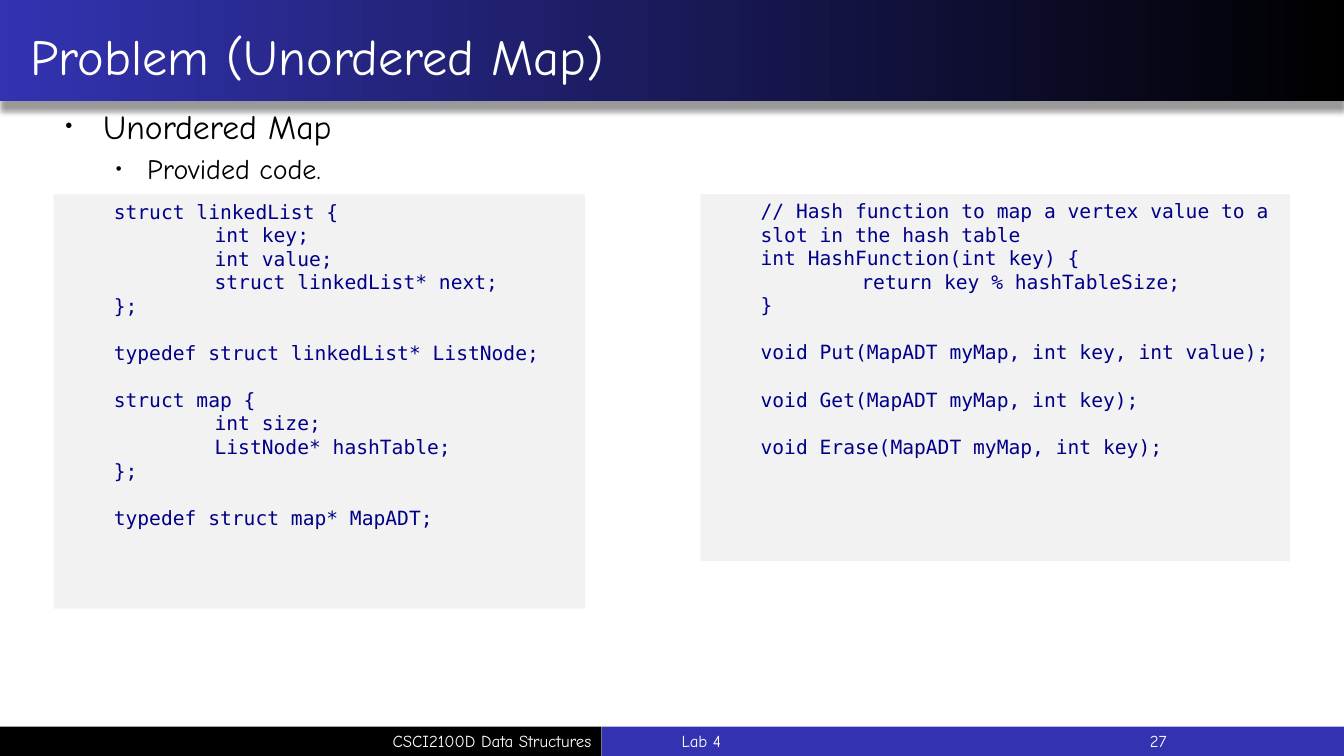
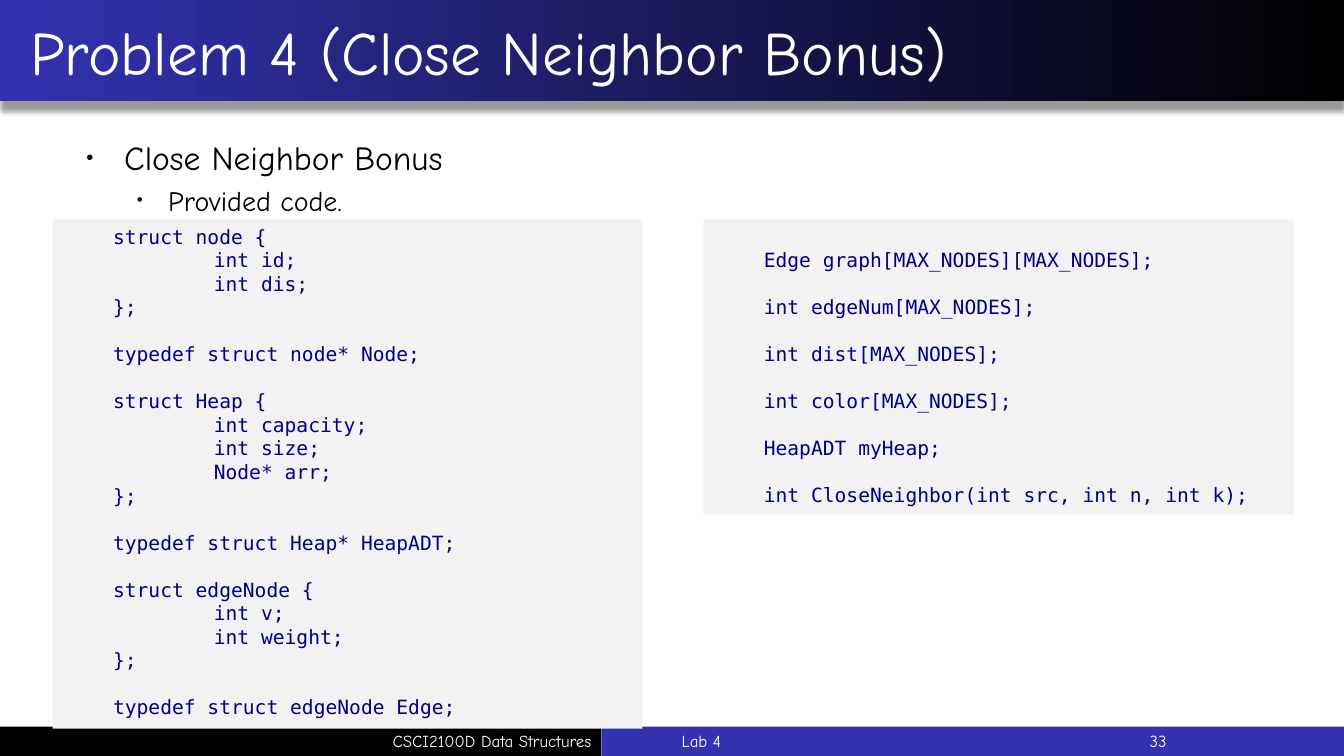
from lxml import etree
from pptx import Presentation
from pptx.dml.color import RGBColor
from pptx.enum.shapes import MSO_SHAPE
from pptx.enum.text import MSO_ANCHOR, PP_ALIGN
from pptx.oxml import parse_xml
from pptx.oxml.ns import qn
from pptx.util import Cm, Pt

RECT = MSO_SHAPE.RECTANGLE
TOP, MIDDLE = MSO_ANCHOR.TOP, MSO_ANCHOR.MIDDLE
LEFT, RIGHT = PP_ALIGN.LEFT, PP_ALIGN.RIGHT
rgb = RGBColor.from_string

BLUE, BLACK, WHITE = "3333B2", "000000", "FFFFFF"
PANEL, INK = "F2F2F2", "000088"
SANS, MONO = "Comic Neue", "DejaVu Sans Mono"
WIDTH, HEIGHT = 33.87, 19.05
HEAD = 2.54                      # height of the title band
FOOT, SPLIT = 18.31, 15.16       # top of the footer, where its colours meet
LINE = 16.8                      # one line of code, in points

SHADOW = """<a:effectLst xmlns:a="http://schemas.openxmlformats.org/drawingml/2006/main">
<a:outerShdw blurRad="50800" dist="88900" dir="5400000" algn="t" rotWithShape="0">
<a:srgbClr val="000000"><a:alpha val="40000"/></a:srgbClr></a:outerShdw></a:effectLst>"""

STRUCTS = """struct linkedList {
    int key;
    int value;
    struct linkedList* next;
};

typedef struct linkedList* ListNode;

struct map {
    int size;
    ListNode* hashTable;
};

typedef struct map* MapADT;"""

CALLS = """// Hash function to map a vertex value to a slot in the hash table
int HashFunction(int key) {
    return key % hashTableSize;
}

void Put(MapADT myMap, int key, int value);

void Get(MapADT myMap, int key);

void Erase(MapADT myMap, int key);"""

TYPES = """struct node {
    int id;
    int dis;
};

typedef struct node* Node;

struct Heap {
    int capacity;
    int size;
    Node* arr;
};

typedef struct Heap* HeapADT;

struct edgeNode {
    int v;
    int weight;
};

typedef struct edgeNode Edge;"""

GLOBALS = """Edge graph[MAX_NODES][MAX_NODES];

int edgeNum[MAX_NODES];

int dist[MAX_NODES];

int color[MAX_NODES];

HeapADT myHeap;

int CloseNeighbor(int src, int n, int k);"""

# title, title size, page, bullets' left and top, topic,
# panels: (left, top, width, height), top inset, code
PAGES = [
    ("Problem (Unordered Map)", 36, "27", (1.4, 2.54), "Unordered Map",
     [((1.35, 4.9, 13.39, 10.44), 0.13, STRUCTS),
      ((17.65, 4.89, 14.86, 9.25), 0.13, CALLS)]),
    ("Problem 4 (Close Neighbor Bonus)", 44, "33", (1.93, 3.33), "Close Neighbor Bonus",
     [((1.33, 5.53, 14.86, 12.83), 0.13, TYPES),
      ((17.73, 5.53, 14.86, 7.44), 0.72, GLOBALS)]),
]


def add_box(slide, at, fill=None, anchor=MIDDLE):
    """Add a filled rectangle, or a text box when there is no fill."""
    at = [Cm(n) for n in at]
    if fill:
        box = slide.shapes.add_shape(RECT, *at)
        box.shadow.inherit = False
        box.fill.solid()
        box.fill.fore_color.rgb = rgb(fill)
        box.line.fill.background()
    else:
        box = slide.shapes.add_textbox(*at)
    box.text_frame.word_wrap = True
    box.text_frame.vertical_anchor = anchor
    return box


def add_run(para, text, size, color=WHITE, font=SANS, align=LEFT):
    para.alignment = align
    run = para.add_run()
    run.text = text
    run.font.size = Pt(size)
    run.font.name = font
    run.font.color.rgb = rgb(color)


deck = Presentation()
deck.slide_width, deck.slide_height = Cm(WIDTH), Cm(HEIGHT)

for title, size, page, spot, topic, panels in PAGES:
    slide = deck.slides.add_slide(deck.slide_layouts[6])

    # Title band
    band = add_box(slide, (0, 0, WIDTH, HEAD), BLUE)
    band.fill.gradient()
    band.fill.gradient_angle = 0
    for stop, color in zip(band.fill.gradient_stops, (BLUE, BLACK)):
        stop.color.rgb = rgb(color)
    props = band.element.spPr
    props.replace(props.find(qn("a:effectLst")), parse_xml(SHADOW))
    head = add_box(slide, (0, 0.05, WIDTH, HEAD - 0.05)).text_frame.paragraphs[0]
    add_run(head, " ", 44)
    add_run(head, title, size)

    # Footer
    deep = HEIGHT - FOOT
    for left, width, fill, text, align in (
        (SPLIT, WIDTH - SPLIT, BLUE, "", LEFT),
        (0, SPLIT, BLACK, "CSCI2100D Data Structures", RIGHT),
        (16.93, 9, None, "Lab 4", LEFT),
        (26.47, 3.18, None, page, RIGHT),
    ):
        box = add_box(slide, (left, FOOT, width, deep), fill)
        if text:
            add_run(box.text_frame.paragraphs[0], text, 12, align=align)

    # Bullets
    frame = add_box(slide, (*spot, 30, 2.2), anchor=TOP).text_frame
    for level, (text, size, left, hang) in enumerate(
        ((topic, 24, 0.95, 0.95), ("Provided code.", 20, 2.06, 0.79))
    ):
        para = frame.add_paragraph() if level else frame.paragraphs[0]
        para.level = level
        para.space_before = Pt(size * 0.2)
        add_run(para, text, size, BLACK)
        props = para._p.get_or_add_pPr()
        props.set("marL", str(Cm(left)))
        props.set("indent", str(-Cm(hang)))
        for tag, key, val in (("buSzPct", "val", "60000"),
                              ("buFont", "typeface", "Arial"),
                              ("buChar", "char", "•")):
            etree.SubElement(props, qn("a:" + tag)).set(key, val)

    # Code panels
    for at, inset, code in panels:
        frame = add_box(slide, at, PANEL, TOP).text_frame
        frame.margin_top = Cm(inset)
        para, gap = frame.paragraphs[0], 0
        for line in code.splitlines():
            if not line:
                gap = LINE
                continue
            if para.runs:
                para = frame.add_paragraph()
            text = line.lstrip()
            para.space_before = Pt(gap)
            add_run(para, text, 14, INK, MONO)
            left = 1.27 if text == line else 3.81
            para._p.get_or_add_pPr().set("marL", str(Cm(left)))
            gap = 0

deck.save("out.pptx")
